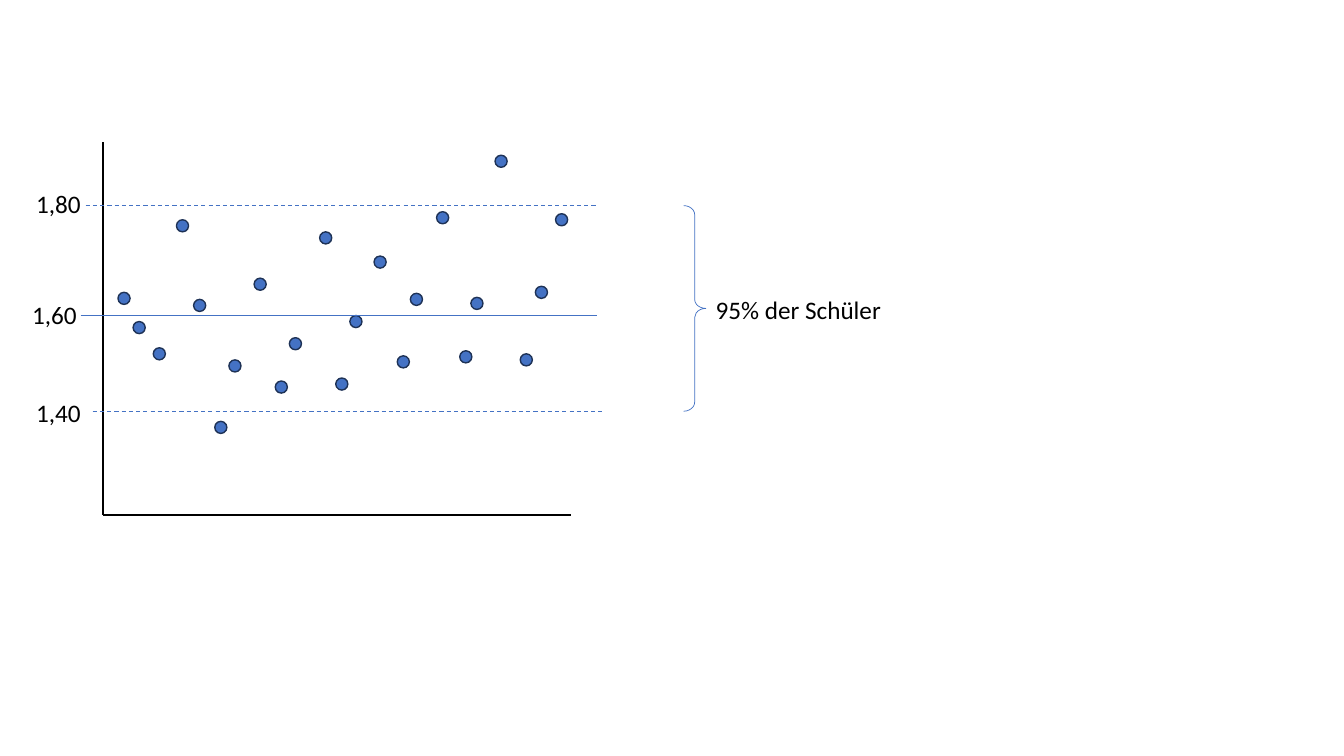
"""Build a slide with a scatter of pupils' heights and a 95% band."""
from lxml.etree import SubElement
from pptx import Presentation
from pptx.dml.color import RGBColor
from pptx.enum.dml import MSO_LINE
from pptx.enum.shapes import MSO_CONNECTOR, MSO_SHAPE
from pptx.enum.text import MSO_AUTO_SIZE
from pptx.oxml.ns import qn
from pptx.util import Inches, Pt

BLACK = RGBColor(0x00, 0x00, 0x00)
BLUE = RGBColor(0x44, 0x72, 0xC4)
NAVY = RGBColor(0x1E, 0x32, 0x56)

AXIS_LEFT, AXIS_BOTTOM = 1.02, 5.11
BAND_TOP, MEAN, BAND_BOTTOM = 2.04, 3.13, 4.08
DOT_SIZE = 0.12

presentation = Presentation()
presentation.slide_width = Inches(13.33)
presentation.slide_height = Inches(7.5)
slide = presentation.slides.add_slide(presentation.slide_layouts[6])


def add_line(start, end, color, width, dash=None):
    ends = [Inches(value) for value in (*start, *end)]
    connector = slide.shapes.add_connector(MSO_CONNECTOR.STRAIGHT, *ends)
    connector.line.color.rgb = color
    connector.line.width = Pt(width)
    if dash:
        connector.line.dash_style = dash
    SubElement(connector._element.spPr, qn("a:effectLst"))


def add_label(text, left, top, width):
    box = slide.shapes.add_textbox(Inches(left), Inches(top), Inches(width), Inches(0.4))
    frame = box.text_frame
    frame.word_wrap = False
    frame.auto_size = MSO_AUTO_SIZE.SHAPE_TO_FIT_TEXT
    paragraph = frame.paragraphs[0]
    paragraph.text = text
    for name, value in {"name": "Calibri", "size": Pt(18)}.items():
        setattr(paragraph.font, name, value)
    paragraph.font.color.rgb = BLACK


add_line((AXIS_LEFT, 1.41), (AXIS_LEFT, AXIS_BOTTOM), BLACK, 1.5)
add_line((AXIS_LEFT, AXIS_BOTTOM), (5.66, AXIS_BOTTOM), BLACK, 1.5)

pupils = [
    (1.17, 2.9), (1.32, 3.19), (1.52, 3.45), (1.75, 2.18), (1.92, 2.97), (2.52, 2.76),
    (3.17, 2.3), (3.71, 2.54), (4.33, 2.1), (4.91, 1.54), (5.51, 2.12), (2.27, 3.57),
    (2.87, 3.35), (3.47, 3.13), (4.07, 2.91), (4.67, 2.95), (5.31, 2.84), (2.13, 4.18),
    (2.73, 3.78), (3.33, 3.75), (3.94, 3.53), (4.56, 3.48), (5.16, 3.51),
]
for left, top in pupils:
    dot = slide.shapes.add_shape(
        MSO_SHAPE.OVAL, Inches(left), Inches(top), Inches(DOT_SIZE), Inches(DOT_SIZE))
    dot.shadow.inherit = False
    dot.fill.solid()
    dot.fill.fore_color.rgb = BLUE
    dot.line.color.rgb = NAVY
    dot.line.width = Pt(1)

levels = [
    (0.8, 5.92, MEAN, 1, None),
    (0.85, 5.91, BAND_TOP, 0.75, MSO_LINE.DASH),
    (0.92, 5.97, BAND_BOTTOM, 0.75, MSO_LINE.DASH),
]
for left, right, height, width, dash in levels:
    add_line((left, height), (right, height), BLUE, width, dash)

brace = slide.shapes.add_shape(
    MSO_SHAPE.RIGHT_BRACE, Inches(6.78), Inches(BAND_TOP),
    Inches(0.22), Inches(BAND_BOTTOM - BAND_TOP))
brace.adjustments[0] = 0.41
brace.shadow.inherit = False
brace.fill.background()
brace.line.color.rgb = BLUE
brace.line.width = Pt(0.5)

labels = [
    ("1,60", 0.22, 2.92, 0.65),
    ("95% der Schüler", 7, 2.87, 1.86),
    ("1,80", 0.26, 1.82, 0.65),
    ("1,40", 0.26, 3.89, 0.65),
]
for label in labels:
    add_label(*label)

presentation.save("out.pptx")
